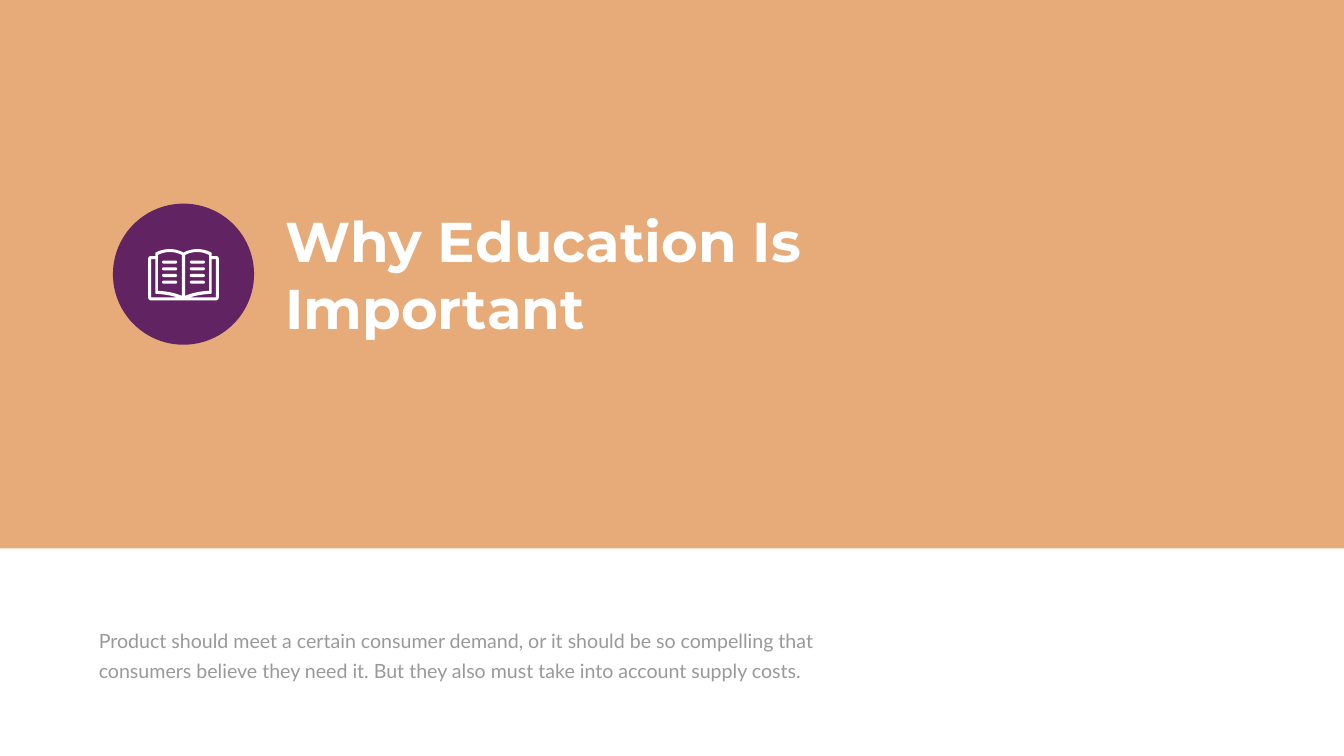
from itertools import product
from typing import NamedTuple

from lxml.etree import SubElement
from pptx import Presentation
from pptx.dml.color import RGBColor
from pptx.enum.shapes import MSO_SHAPE
from pptx.enum.text import MSO_ANCHOR, PP_ALIGN
from pptx.oxml.ns import qn
from pptx.shapes.autoshape import Shape
from pptx.util import Pt

Point = tuple[float, float]

WIDE, HIGH = 1919.52, 1080
WHITE, ORANGE, PURPLE, GRAY = "FFFFFF", "E19658", "622362", "999999"
STEPS = 12
MID, TOP = 262.08, 354.24  # top centre of the book icon


class Box(NamedTuple):
    x: float
    y: float
    w: float
    h: float


class Style(NamedTuple):
    font: str
    size: float
    color: str
    bold: bool = False


# Book contours, relative to its top centre: pairs are corners, sixes are curves.
COVER = [(0, 6.5), (12.2, 0, 27.4, 0, 39.6, 6.5),
         (40.3, 6.5, 40.3, 7.2, 40.3, 8.6), (40.3, 11.5), (46.1, 11.5),
         (49, 11.5, 50.4, 13.7, 50.4, 15.1), (50.4, 70.6),
         (50.4, 72.7, 49, 74.9, 46.1, 74.9), (0, 74.9)]
PAGE = [(36.7, 10.1), (36.7, 61.2), (23, 61.9, 13, 64.1, 2.2, 68.4),
        (2.2, 10.1), (13, 4.3, 25.9, 4.3, 36.7, 10.1)]
EDGE = [(46.1, 70.6), (9.4, 70.6), (18, 67.7, 27.4, 66.2, 38.9, 65.5),
        (39.6, 65.5, 40.3, 64.8, 40.3, 63.4), (40.3, 15.8), (46.1, 15.8)]


def rgb(code: str) -> RGBColor:
    return RGBColor.from_string(code)


def paint(shape: Shape, color: str) -> None:
    shape.shadow.inherit = False
    shape.fill.solid()
    shape.fill.fore_color.rgb = rgb(color)
    shape.line.fill.background()


def draw(shapes, kind: MSO_SHAPE, box: Box, color: str) -> Shape:
    shape = shapes.add_shape(kind, *map(Pt, box))
    paint(shape, color)
    return shape


def write(shape: Shape, text: str, style: Style) -> None:
    frame = shape.text_frame
    frame.word_wrap = True
    frame.vertical_anchor = MSO_ANCHOR.TOP
    frame.text = text
    para = frame.paragraphs[0]
    para.alignment = PP_ALIGN.LEFT
    font = para.font
    font.name, font.size, font.bold = style.font, Pt(style.size), style.bold
    font.color.rgb = rgb(style.color)


def trace(path: list[tuple]) -> list[Point]:
    """Turn corners and cubic curves into a run of points."""
    points = [path[0]]
    for part in path[1:]:
        if len(part) == 2:
            points.append(part)
            continue
        ax, ay = points[-1]
        bx, by, cx, cy, dx, dy = part
        for step in range(1, STEPS + 1):
            t = step / STEPS
            u = 1 - t
            k = (u ** 3, 3 * u * u * t, 3 * u * t * t, t ** 3)
            points.append((k[0] * ax + k[1] * bx + k[2] * cx + k[3] * dx,
                           k[0] * ay + k[1] * by + k[2] * cy + k[3] * dy))
    return points


def mirror(points: list[Point]) -> list[Point]:
    return [(-x, y) for x, y in reversed(points)]


def draw_book(shapes) -> None:
    cover, page, edge = map(trace, (COVER, PAGE, EDGE))
    loops = [cover + mirror(cover), page, mirror(page), edge, mirror(edge)]
    placed = [[(Pt(MID + x), Pt(TOP + y)) for x, y in loop] for loop in loops]
    pen = shapes.build_freeform(*placed[0][0])
    for loop in placed:
        if loop is not placed[0]:
            pen.move_to(*loop[0])
        pen.add_line_segments(loop[1:], close=True)
    paint(pen.convert_to_shape(), WHITE)

    for left, row in product((-30.6, 9), range(4)):
        box = Box(MID + left, TOP + 18 + 9.6 * row, 21.6, 4.3)
        draw(shapes, MSO_SHAPE.ROUNDED_RECTANGLE, box, WHITE).adjustments[0] = 0.5


def main() -> None:
    deck = Presentation()
    deck.slide_width, deck.slide_height = Pt(WIDE), Pt(HIGH)
    slide = deck.slides.add_slide(deck.slide_layouts[5])
    shapes = slide.shapes

    band = draw(shapes, MSO_SHAPE.RECTANGLE, Box(0, 0, WIDE, 783.36), ORANGE)
    tint = band.element.spPr.find(".//" + qn("a:srgbClr"))
    SubElement(tint, qn("a:alpha")).set("val", "80000")

    title = shapes.title
    title.element.addprevious(band.element)
    title.left, title.top, title.width, title.height = map(
        Pt, Box(400.32, 290.88, 820.08, 200.88))
    write(title, "Why Education Is Important",
          Style("Montserrat", 80, WHITE, True))

    draw(shapes, MSO_SHAPE.OVAL, Box(161.28, 290.88, 201.6, 201.6), PURPLE)
    draw_book(shapes)

    body = shapes.add_textbox(*map(Pt, Box(123.84, 880.56, 1070.64, 99.36)))
    write(body, "Product should meet a certain consumer demand, or it should be "
          "so compelling that consumers believe they need it. But they also "
          "must take into account supply costs.", Style("Lato", 28, GRAY))
    frame = body.text_frame
    frame.margin_left = frame.margin_right = Pt(17.28)
    frame.margin_top = frame.margin_bottom = Pt(8.64)
    frame.paragraphs[0].line_spacing = Pt(43)

    deck.save("out.pptx")


if __name__ == "__main__":
    main()
